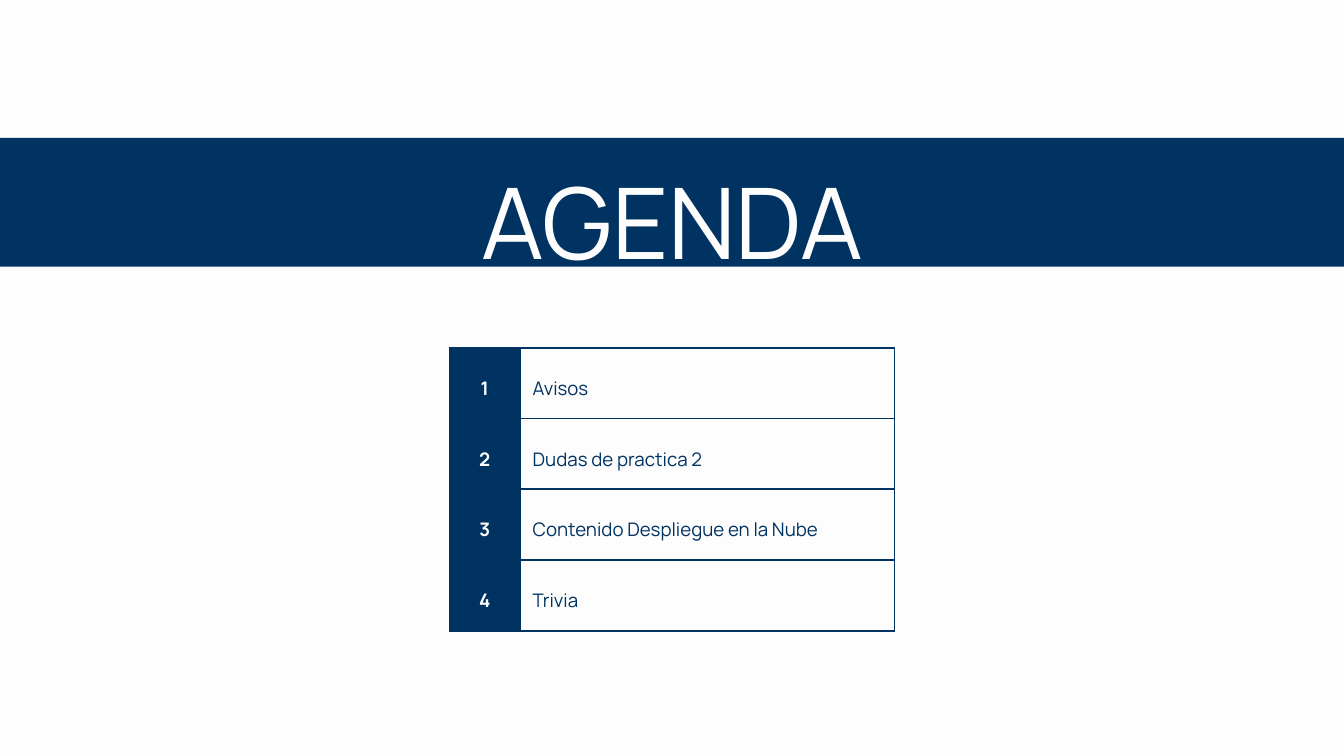
from lxml.etree import SubElement
from pptx import Presentation
from pptx.dml.color import RGBColor
from pptx.enum.shapes import MSO_SHAPE as Shape
from pptx.enum.text import MSO_ANCHOR as Anchor, MSO_AUTO_SIZE as AutoSize, PP_ALIGN as Align
from pptx.oxml.ns import qn
from pptx.util import Emu, Pt

EMU_PER_PX = 9525
NAVY, PAPER = "013362", "FDFDFD"
TOPICS = ["Avisos", "Dudas de practica 2", "Contenido Despliegue en la Nube", "Trivia"]


def px(length):
    return Emu(length * EMU_PER_PX)


def rgb(value):
    return RGBColor.from_string(value)


class AgendaSlide:
    font = "Manrope"
    cell_margin = px(18)
    border_width = Pt(2.07)

    def __init__(self, deck):
        self.slide = deck.slides.add_slide(deck.slide_layouts[6])
        background = self.slide.background.fill
        background.solid()
        background.fore_color.rgb = rgb(PAPER)

    def set_text(self, frame, text, size, color, align, spacing, bold=False):
        frame.text = text
        paragraph = frame.paragraphs[0]
        paragraph.alignment = align
        paragraph.line_spacing = spacing
        font = paragraph.runs[0].font
        font.name, font.size, font.bold = self.font, Pt(size), bold
        font.color.rgb = rgb(color)

    def band(self, left, top, width, height, color):
        band = self.slide.shapes.add_shape(
            Shape.RECTANGLE, px(left), px(top), px(width), px(height))
        band.shadow.inherit = False
        band.fill.solid()
        band.fill.fore_color.rgb = rgb(color)
        band.line.fill.background()

    def title(self, text, left, top, width, height):
        box = self.slide.shapes.add_textbox(px(left), px(top), px(width), px(height))
        frame = box.text_frame
        frame.word_wrap = True
        frame.auto_size = AutoSize.SHAPE_TO_FIT_TEXT
        frame.margin_left = frame.margin_top = frame.margin_right = frame.margin_bottom = 0
        self.set_text(frame, text, 105.8, PAPER, Align.CENTER, 1.2)

    def numbered_table(self, topics, left, top, column_widths, row_height):
        table = self.slide.shapes.add_table(
            len(topics), len(column_widths), px(left), px(top),
            px(sum(column_widths)), px(row_height * len(topics))).table
        table.first_row = table.horz_banding = False
        for column, width in zip(table.columns, column_widths):
            column.width = px(width)
        for row, topic in enumerate(topics):
            number_cell, topic_cell = table.cell(row, 0), table.cell(row, 1)
            number_cell.fill.solid()
            number_cell.fill.fore_color.rgb = rgb(NAVY)
            topic_cell.fill.background()
            self.set_text(number_cell.text_frame, str(row + 1), 20, PAPER, Align.CENTER, 1.4, True)
            self.set_text(topic_cell.text_frame, topic, 20, NAVY, Align.LEFT, 1.4)
            for cell in (number_cell, topic_cell):
                self.frame_cell(cell, NAVY)

    def frame_cell(self, cell, color):
        """Set the margins, the anchor and all four borders of a cell."""
        cell.vertical_anchor = Anchor.MIDDLE
        cell.margin_left = cell.margin_right = self.cell_margin
        cell.margin_top = cell.margin_bottom = self.cell_margin
        properties = cell._tc.get_or_add_tcPr()
        for index, side in enumerate(("lnL", "lnR", "lnT", "lnB")):
            border = SubElement(properties, qn(f"a:{side}"), w=str(self.border_width))
            fill = SubElement(border, qn("a:solidFill"))
            SubElement(fill, qn("a:srgbClr"), val=color)
            properties.insert(index, border)


def main():
    deck = Presentation()
    deck.slide_width, deck.slide_height = px(1920), px(1080)
    agenda = AgendaSlide(deck)
    agenda.numbered_table(TOPICS, 642, 497, column_widths=(101, 535), row_height=101)
    agenda.band(-61, 197, 2043, 184, NAVY)
    agenda.title("AGENDA", 624, 196, 673, 171)
    deck.save("out.pptx")


if __name__ == "__main__":
    main()
